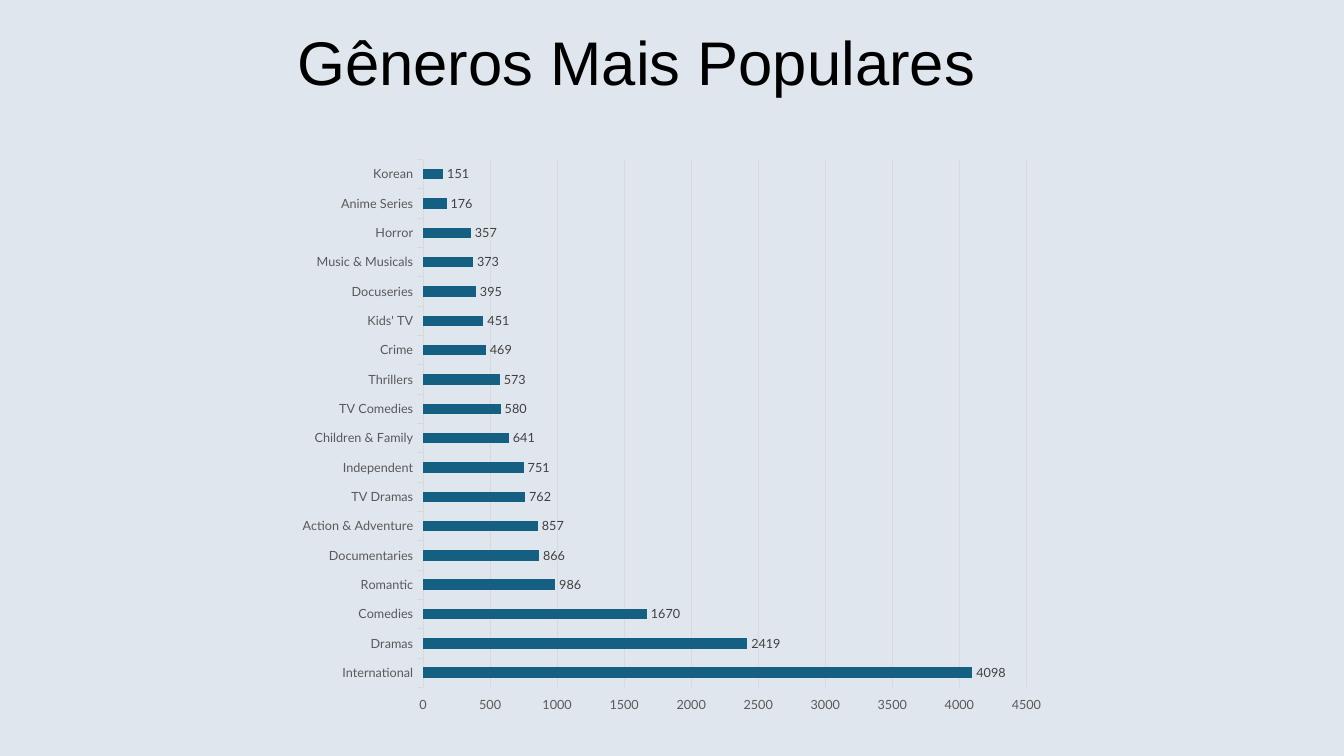
from pptx import Presentation
from pptx.chart.data import CategoryChartData
from pptx.dml.color import RGBColor
from pptx.enum.chart import XL_CHART_TYPE, XL_LABEL_POSITION, XL_TICK_LABEL_POSITION, XL_TICK_MARK
from pptx.enum.text import MSO_ANCHOR, PP_ALIGN
from pptx.util import Pt

TITLE = "Gêneros Mais Populares"
GENRES = [
    ("International", 4098),
    ("Dramas", 2419),
    ("Comedies", 1670),
    ("Romantic", 986),
    ("Documentaries", 866),
    ("Action & Adventure", 857),
    ("TV Dramas", 762),
    ("Independent", 751),
    ("Children & Family", 641),
    ("TV Comedies", 580),
    ("Thrillers", 573),
    ("Crime", 469),
    ("Kids' TV", 451),
    ("Docuseries", 395),
    ("Music & Musicals", 373),
    ("Horror", 357),
    ("Anime Series", 176),
    ("Korean", 151),
]

BACKGROUND = RGBColor(0xE0, 0xE6, 0xEE)
BLACK = RGBColor(0, 0, 0)
BAR_BLUE = RGBColor(0x15, 0x60, 0x82)
AXIS_GREY = RGBColor(0x59, 0x59, 0x59)
LABEL_GREY = RGBColor(0x40, 0x40, 0x40)
GRID_GREY = RGBColor(0xD9, 0xD9, 0xD9)

BAR = XL_CHART_TYPE.BAR_CLUSTERED
OUTSIDE_END = XL_LABEL_POSITION.OUTSIDE_END
LOW = XL_TICK_LABEL_POSITION.LOW
TICK_OUT = XL_TICK_MARK.OUTSIDE
TICK_NONE = XL_TICK_MARK.NONE
MIDDLE = MSO_ANCHOR.MIDDLE
LEFT_ALIGN = PP_ALIGN.LEFT

LEFT, WIDTH = Pt(205.2), Pt(549.4)
TITLE_HEIGHT = Pt(93.6)
CHART_TOP, CHART_HEIGHT = Pt(105.8), Pt(411.8)


def style_font(font, name, size, color):
    font.name = name
    font.size = Pt(size)
    font.color.rgb = color


def style_line(line):
    line.color.rgb = GRID_GREY
    line.width = Pt(0.75)


def add_title(page):
    title = page.shapes.title
    title.left, title.top, title.width, title.height = LEFT, 0, WIDTH, TITLE_HEIGHT
    frame = title.text_frame
    frame.text = TITLE
    frame.word_wrap = True
    frame.vertical_anchor = MIDDLE
    para = frame.paragraphs[0]
    para.alignment = LEFT_ALIGN
    para.line_spacing = 0.9
    style_font(para.runs[0].font, "Arial", 44, BLACK)


def add_genre_chart(page):
    data = CategoryChartData()
    data.categories = [genre for genre, count in GENRES]
    data.add_series("Series 1", [count for genre, count in GENRES])
    chart = page.shapes.add_chart(BAR, LEFT, CHART_TOP, WIDTH, CHART_HEIGHT, data).chart
    chart.has_legend = False
    chart.has_title = False
    style_font(chart.font, "Arial", 10, BLACK)

    for axis in (chart.category_axis, chart.value_axis):
        axis.major_tick_mark = TICK_OUT
        axis.minor_tick_mark = TICK_NONE
        style_font(axis.tick_labels.font, "Lato", 9, AXIS_GREY)
    chart.category_axis.tick_label_position = LOW
    chart.category_axis.has_major_gridlines = False
    style_line(chart.category_axis.format.line)
    values = chart.value_axis
    values.minimum_scale, values.maximum_scale, values.major_unit = 0, 4500, 500
    values.has_major_gridlines = True
    values.format.line.fill.background()
    style_line(values.major_gridlines.format.line)

    plot = chart.plots[0]
    plot.gap_width = 182
    plot.vary_by_categories = False
    bars = plot.series[0]
    bars.format.fill.solid()
    bars.format.fill.fore_color.rgb = BAR_BLUE
    labels = bars.data_labels
    labels.show_value = True
    labels.position = OUTSIDE_END
    style_font(labels.font, "Lato", 9, LABEL_GREY)


def main():
    deck = Presentation()
    deck.slide_width, deck.slide_height = Pt(960), Pt(540)
    page = deck.slides.add_slide(deck.slide_layouts[5])
    page.background.fill.solid()
    page.background.fill.fore_color.rgb = BACKGROUND
    add_title(page)
    add_genre_chart(page)
    deck.save("out.pptx")


if __name__ == "__main__":
    main()
